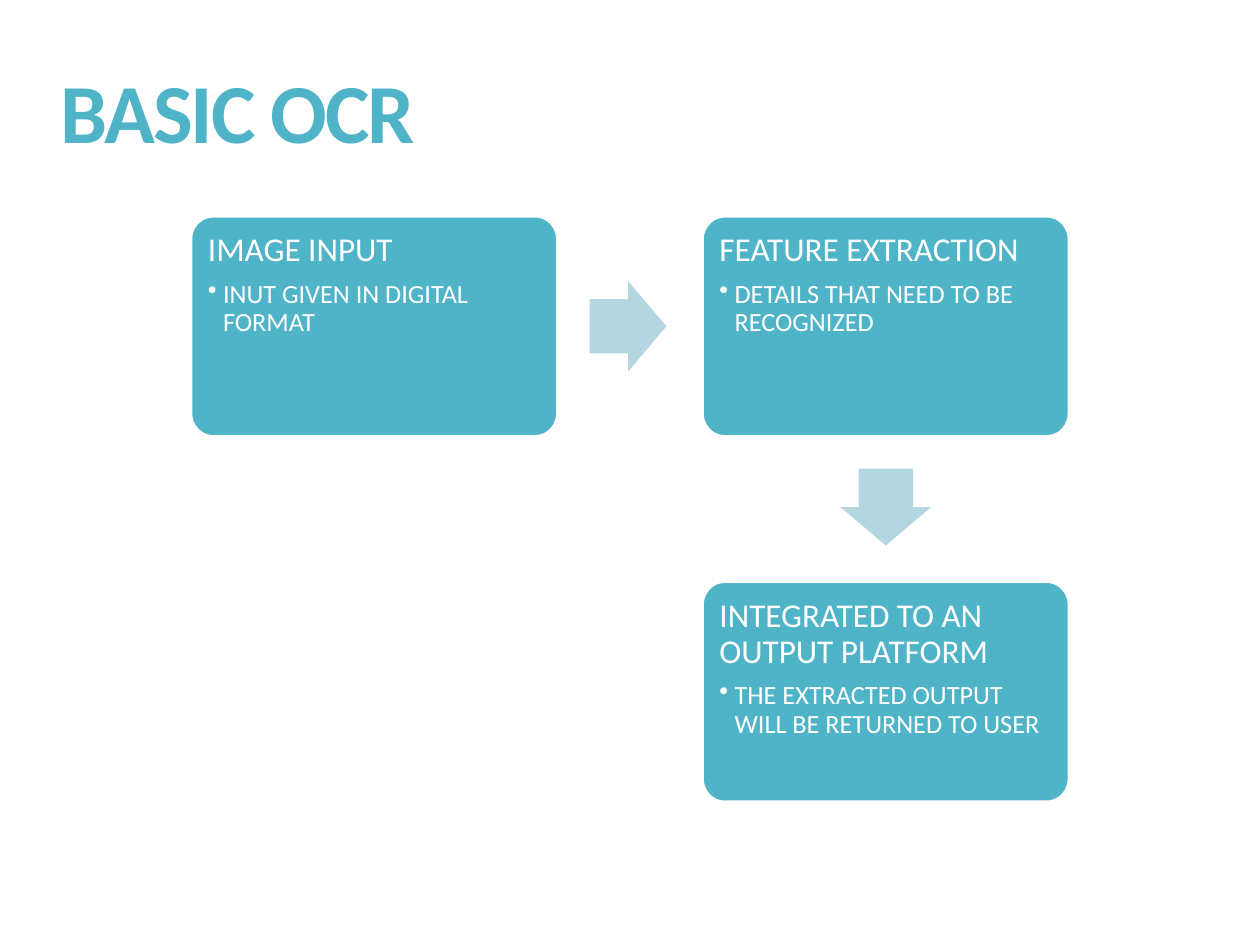
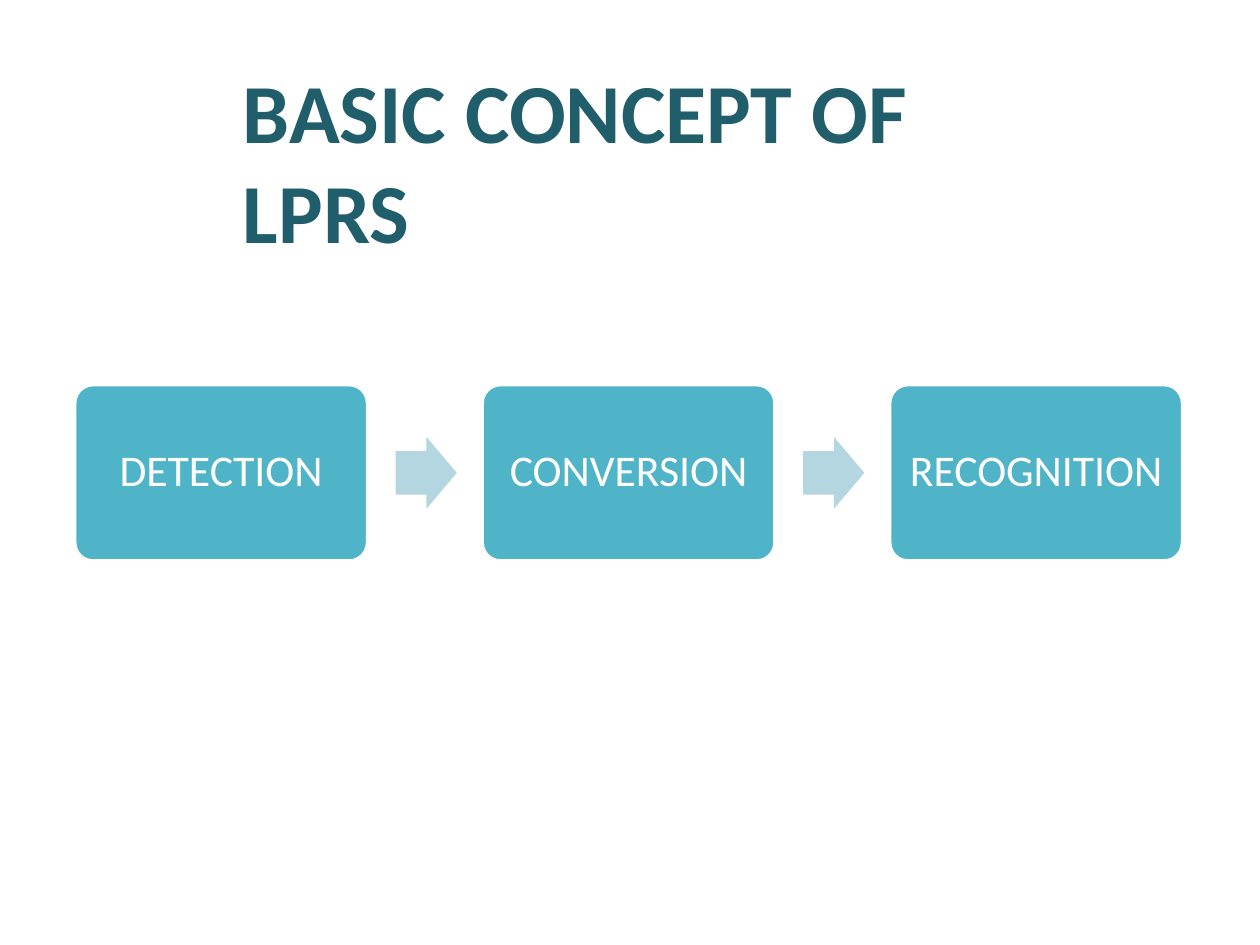
import pptx
import pptx.util
import pptx.dml.color
import pptx.enum.shapes
import pptx.enum.text
import pptx.oxml
from pptx.util import Inches

FONT = "Calibri"
TEAL, DARK_TEAL, PALE_TEAL, WHITE = "50B4C8", "215E6B", "B3D6E0", "FFFFFF"
SHAPE = pptx.enum.shapes.MSO_SHAPE
ANCHOR = pptx.enum.text.MSO_ANCHOR
ALIGN = pptx.enum.text.PP_ALIGN

# Proportions of a process diagram, relative to the width of one box
BOX_HEIGHT, BOX_STEP = 0.6, 1.4
ARROW_LENGTH, ARROW_HEIGHT = 0.21, 0.248


def rgb(color):
    return pptx.dml.color.RGBColor.from_string(color)


def format_run(p, size, color, bold=False):
    r = p.runs[0]
    r.font.name = FONT
    r.font.size = pptx.util.Pt(size)
    r.font.bold = bold
    r.font.color.rgb = rgb(color)
    return r


def add_title(s, text, left, top, width, height, color, anchor, line_spacing=1.0, tracking=0):
    """Add a slide title; tracking is the letter spacing in points."""
    tf = s.shapes.add_textbox(Inches(left), Inches(top), Inches(width), Inches(height)).text_frame
    tf.word_wrap = True
    tf.vertical_anchor = anchor
    tf.text = text
    p = tf.paragraphs[0]
    p.line_spacing = line_spacing
    r = format_run(p, 48, color, bold=True)
    if tracking:
        r.font._element.set("spc", str(round(tracking * 100)))


def add_filled_shape(s, kind, left, top, width, height, fill):
    sp = s.shapes.add_shape(kind, Inches(left), Inches(top), Inches(width), Inches(height))
    sp.shadow.inherit = False
    sp.fill.solid()
    sp.fill.fore_color.rgb = rgb(fill)
    sp.line.fill.background()
    return sp


def add_bullet(p, indent):
    pPr = p._p.get_or_add_pPr()
    pPr.set("marL", str(Inches(indent)))
    pPr.set("indent", str(-Inches(indent)))
    bullet = pptx.oxml.parse_xml(
        '<a:buChar xmlns:a="http://schemas.openxmlformats.org/drawingml/2006/main" char="•"/>')
    pPr.append(bullet)


def add_box(s, left, top, width, heading, size, inset, detail=None):
    """Add a step box: a centred heading, or a heading with a bullet under it."""
    sp = add_filled_shape(s, SHAPE.ROUNDED_RECTANGLE, left, top, width, width * BOX_HEIGHT, TEAL)
    sp.adjustments[0] = 0.1
    sp.line.color.rgb = rgb(WHITE)
    sp.line.width = pptx.util.Pt(1)
    tf = sp.text_frame
    tf.word_wrap = True
    tf.margin_left = tf.margin_right = tf.margin_top = tf.margin_bottom = Inches(inset)
    tf.vertical_anchor = ANCHOR.TOP if detail else ANCHOR.MIDDLE
    tf.text = heading
    p = tf.paragraphs[0]
    p.alignment = ALIGN.LEFT if detail else ALIGN.CENTER
    p.line_spacing = 0.9
    format_run(p, size, WHITE)
    if detail:
        p.space_after = pptx.util.Pt(0.35 * size)
        p = tf.add_paragraph()
        p.text = detail
        p.alignment = ALIGN.LEFT
        p.line_spacing = 0.9
        add_bullet(p, 0.12)
        format_run(p, 15, WHITE)


def add_arrow(s, center_x, center_y, box_width, rotation=0):
    length, height = box_width * ARROW_LENGTH, box_width * ARROW_HEIGHT
    sp = add_filled_shape(s, SHAPE.RIGHT_ARROW, center_x - length / 2, center_y - height / 2,
                          length, height, PALE_TEAL)
    sp.adjustments[0], sp.adjustments[1] = 0.6, 0.5
    sp.rotation = rotation


def build_ocr_slide(s):
    add_title(s, "BASIC OCR", 0.38, 0.02, 8.84, 1.81, TEAL, ANCHOR.MIDDLE, 0.9, -1.2)
    left, top, width = 1.52, 1.72, 2.9
    right, bottom = left + width * BOX_STEP, top + width
    steps = [
        (left, top, "IMAGE INPUT", "INUT GIVEN IN DIGITAL FORMAT"),
        (right, top, "FEATURE EXTRACTION", "DETAILS THAT NEED TO BE RECOGNIZED"),
        (right, bottom, "INTEGRATED TO AN OUTPUT PLATFORM",
         "THE EXTRACTED OUTPUT WILL BE RETURNED TO USER"),
    ]
    for x, y, heading, detail in steps:
        add_box(s, x, y, width, heading, 19, 0.08, detail)
    box_height = width * BOX_HEIGHT
    arrow_offset = 0.26 + width * ARROW_LENGTH / 2
    add_arrow(s, left + width + arrow_offset, top + box_height / 2, width)
    add_arrow(s, right + width / 2, top + box_height + arrow_offset, width, rotation=90)


def build_lprs_slide(s):
    add_title(s, "BASIC CONCEPT OF LPRS", 1.83, 0.42, 6.8, 0.91, DARK_TEAL, ANCHOR.TOP)
    left, top, width = 0.6, 3.06, 2.31
    steps = ["DETECTION", "CONVERSION", "RECOGNITION"]
    for i, heading in enumerate(steps):
        x = left + i * width * BOX_STEP
        add_box(s, x, top, width, heading, 25, 0.1)
        if i < len(steps) - 1:
            add_arrow(s, x + width * (1.1 + ARROW_LENGTH / 2), top + width * BOX_HEIGHT / 2, width)


def main():
    prs = pptx.Presentation()
    prs.slide_width, prs.slide_height = Inches(10), Inches(7.5)
    for build in (build_ocr_slide, build_lprs_slide):
        build(prs.slides.add_slide(prs.slide_layouts[6]))
    prs.save("out.pptx")


if __name__ == "__main__":
    main()
